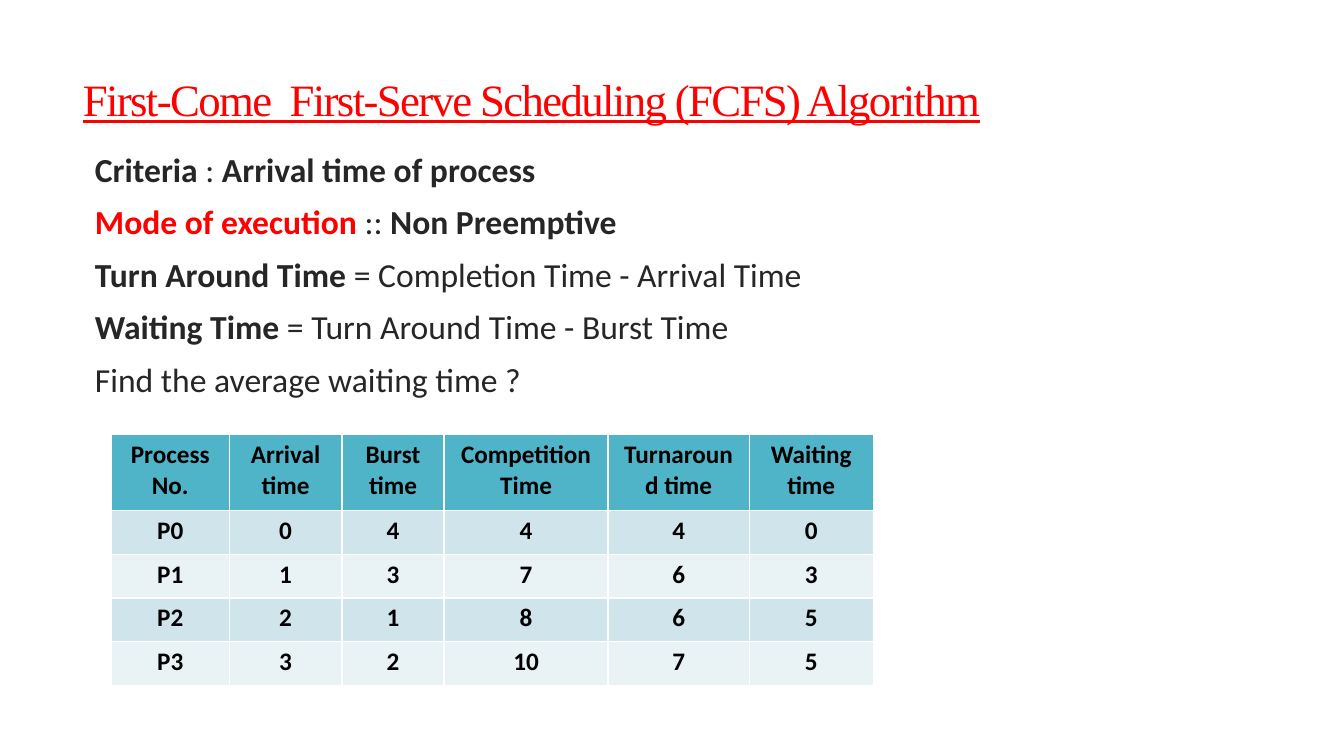
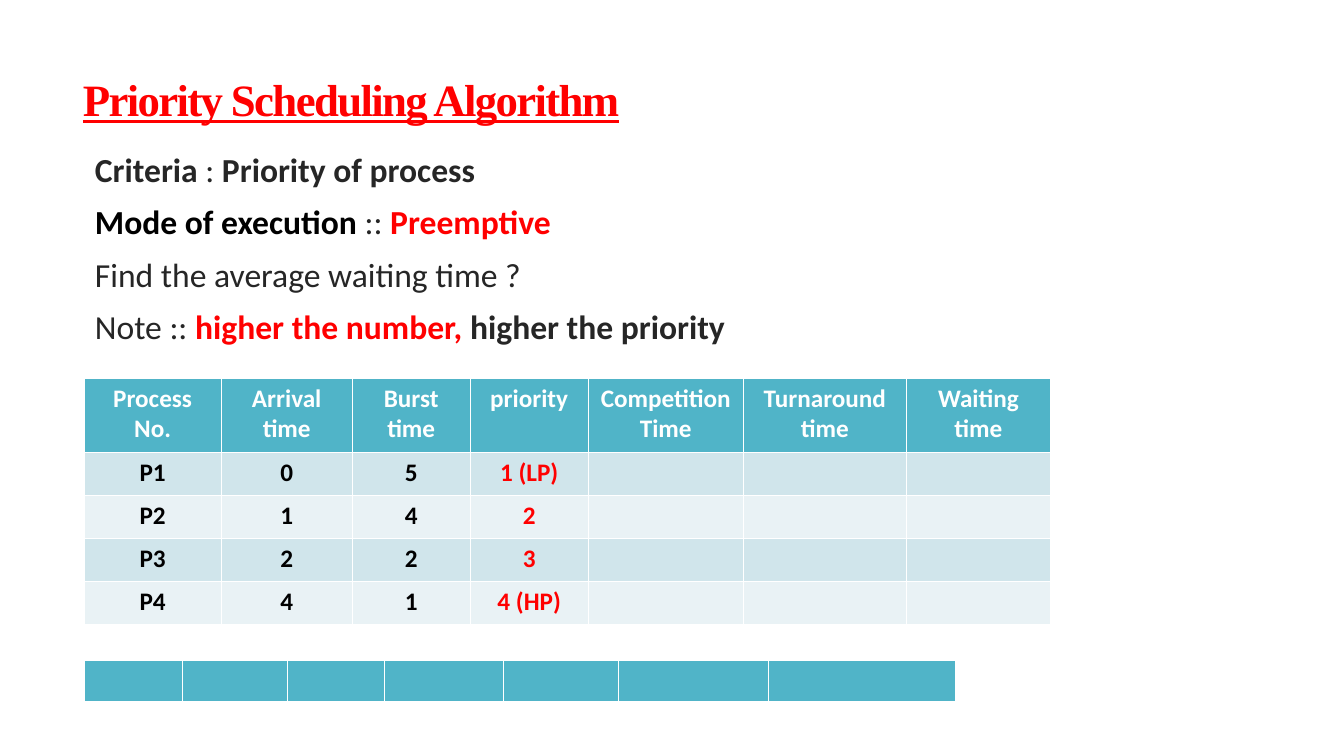
"""Build two slides on process scheduling algorithms."""
from pptx import Presentation
from pptx.dml.color import RGBColor as RGB
from pptx.enum.text import MSO_ANCHOR as Anchor, MSO_AUTO_SIZE as Auto, PP_ALIGN as Align
from pptx.oxml import parse_xml
from pptx.oxml.ns import nsdecls
from pptx.util import Pt

RED = RGB(0xFF, 0x00, 0x00)
INK = RGB(0x26, 0x26, 0x26)
BLACK = RGB(0x00, 0x00, 0x00)
WHITE = RGB(0xFF, 0xFF, 0xFF)
TEAL = RGB(0x50, 0xB4, 0xC8)
BANDS = RGB(0xD0, 0xE5, 0xEB), RGB(0xE9, 0xF2, 0xF5)
SANS, SERIF = "Calibri", "Times New Roman"
WIDE, HIGH = 960, 540
TITLE_BOX = 52, 39.5, 848, 68
BODY_BOX = 53.4, 106.9, 846.6, 393.5

FIND = [("Find the average waiting time ?", False, INK)]
FIRST = {
    "title": "First-Come  First-Serve Scheduling (FCFS) Algorithm",
    "bold": False,
    "body": [
        [("Criteria", True, INK), (" : ", False, INK), ("Arrival time of process", True, INK)],
        [("Mode of execution ", True, RED), (":: ", False, INK), ("Non Preemptive", True, INK)],
        [("Turn Around Time ", True, INK), ("= Completion Time - Arrival Time", False, INK)],
        [("Waiting Time ", True, INK), ("= Turn Around Time - Burst Time", False, INK)],
        FIND,
    ],
    "tables": [{
        "at": (79.5, 310.5),
        "cols": [84.2, 80.6, 72.9, 117.2, 100.8, 88.6],
        "rows": [54, 31.3, 31.3, 31.3, 31.3],
        "head": BLACK,
        "cells": [
            ["Process No.", "Arrival time", "Burst time", "Competition Time",
             "Turnaround time", "Waiting time"],
            ["P0", "0", "4", "4", "4", "0"],
            ["P1", "1", "3", "7", "6", "3"],
            ["P2", "2", "1", "8", "6", "5"],
            ["P3", "3", "2", "10", "7", "5"],
        ],
    }],
}
SECOND = {
    "title": "Priority Scheduling Algorithm",
    "bold": True,
    "body": [
        [("Criteria", True, INK), (" : ", False, INK), ("Priority of process", True, INK)],
        [("Mode of execution ", True, BLACK), (":: ", False, INK), ("Preemptive", True, RED)],
        FIND,
        [("Note :: ", False, INK), ("higher the number,", True, RED),
         (" higher the priority", True, INK)],
    ],
    "tables": [{
        "at": (60, 270),
        "cols": [98, 93.6, 84.3, 84.3, 110.8, 116.6, 102.8],
        "rows": [53.2, 30.8, 30.8, 30.8, 30.8],
        "head": WHITE,
        "red": 3,
        "cells": [
            ["Process No.", "Arrival time", "Burst time", "priority", "Competition Time",
             "Turnaround time", "Waiting time"],
            ["P1", "0", "5", "1 (LP)", "", "", ""],
            ["P2", "1", "4", "2", "", "", ""],
            ["P3", "2", "2", "3", "", "", ""],
            ["P4", "4", "1", "4 (HP)", "", "", ""],
        ],
    }, {
        "at": (60, 471.6),
        "cols": [70.2, 75, 69.5, 85, 82.2, 106.9, 134.2],
        "rows": [29.5],
        "head": WHITE,
        "cells": [[""] * 7],
    }],
}


def write(para, text, size=18, font=SANS, color=INK, bold=False, line=False):
    run = para.add_run()
    run.text = text
    face = run.font
    face.size, face.name, face.bold, face.underline = Pt(size), font, bold, line
    face.color.rgb = color
    return run


def place(shape, box, anchor):
    shape.left, shape.top, shape.width, shape.height = map(Pt, box)
    frame = shape.text_frame
    frame.auto_size, frame.vertical_anchor = Auto.NONE, anchor
    return frame


def add_title(slide, text, bold):
    para = place(slide.shapes.title, TITLE_BOX, Anchor.MIDDLE).paragraphs[0]
    para.alignment, para.line_spacing = Align.LEFT, 0.85
    run = write(para, text, size=32, font=SERIF, color=RED, bold=bold, line=True)
    run.font._element.set("spc", "-120")


def add_body(slide, lines):
    frame = place(slide.placeholders[1], BODY_BOX, Anchor.TOP)
    for num, line in enumerate(lines):
        para = frame.add_paragraph() if num else frame.paragraphs[0]
        para.line_spacing, para.space_before = 0.85, Pt(13)
        props = para._p.get_or_add_pPr()
        props.set("marL", str(Pt(7.2)))
        props.set("indent", "0")
        props.append(parse_xml(f"<a:buNone {nsdecls('a')}/>"))
        for text, bold, color in line:
            write(para, text, size=24, color=color, bold=bold)


def add_grid(slide, data):
    cols, rows = data["cols"], data["rows"]
    box = [*data["at"], sum(cols), sum(rows)]
    grid = slide.shapes.add_table(len(rows), len(cols), *map(Pt, box)).table
    for col, width in zip(grid.columns, cols):
        col.width = Pt(width)
    for row, height in zip(grid.rows, rows):
        row.height = Pt(height)
    for r, texts in enumerate(data["cells"]):
        for c, text in enumerate(texts):
            cell = grid.cell(r, c)
            cell.fill.solid()
            cell.fill.fore_color.rgb = BANDS[(r - 1) % 2] if r else TEAL
            if text:
                color = RED if c == data.get("red") else BLACK
                para = cell.text_frame.paragraphs[0]
                para.alignment = Align.CENTER
                write(para, text, color=color if r else data["head"], bold=True)


def main():
    deck = Presentation()
    deck.slide_width, deck.slide_height = Pt(WIDE), Pt(HIGH)
    for page in (FIRST, SECOND):
        slide = deck.slides.add_slide(deck.slide_layouts[1])
        add_title(slide, page["title"], page["bold"])
        add_body(slide, page["body"])
        for data in page["tables"]:
            add_grid(slide, data)
    deck.save("out.pptx")


if __name__ == "__main__":
    main()
